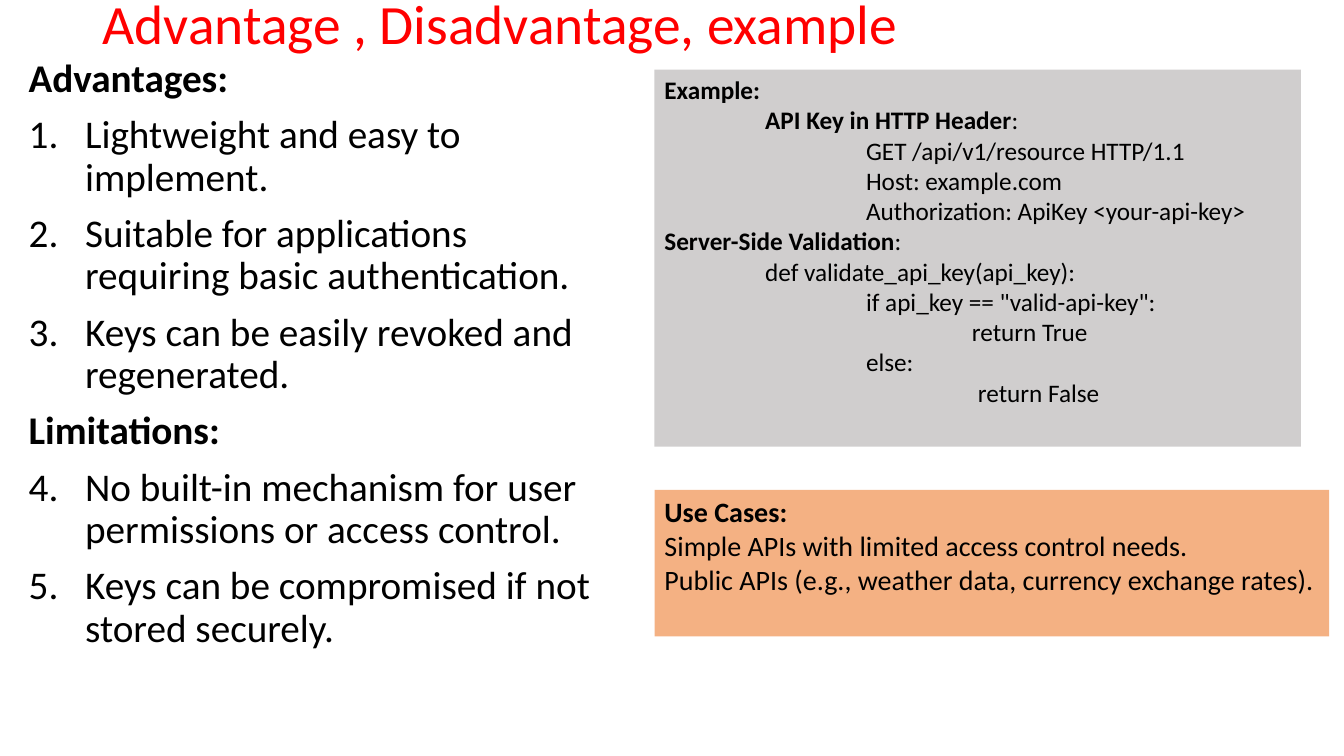
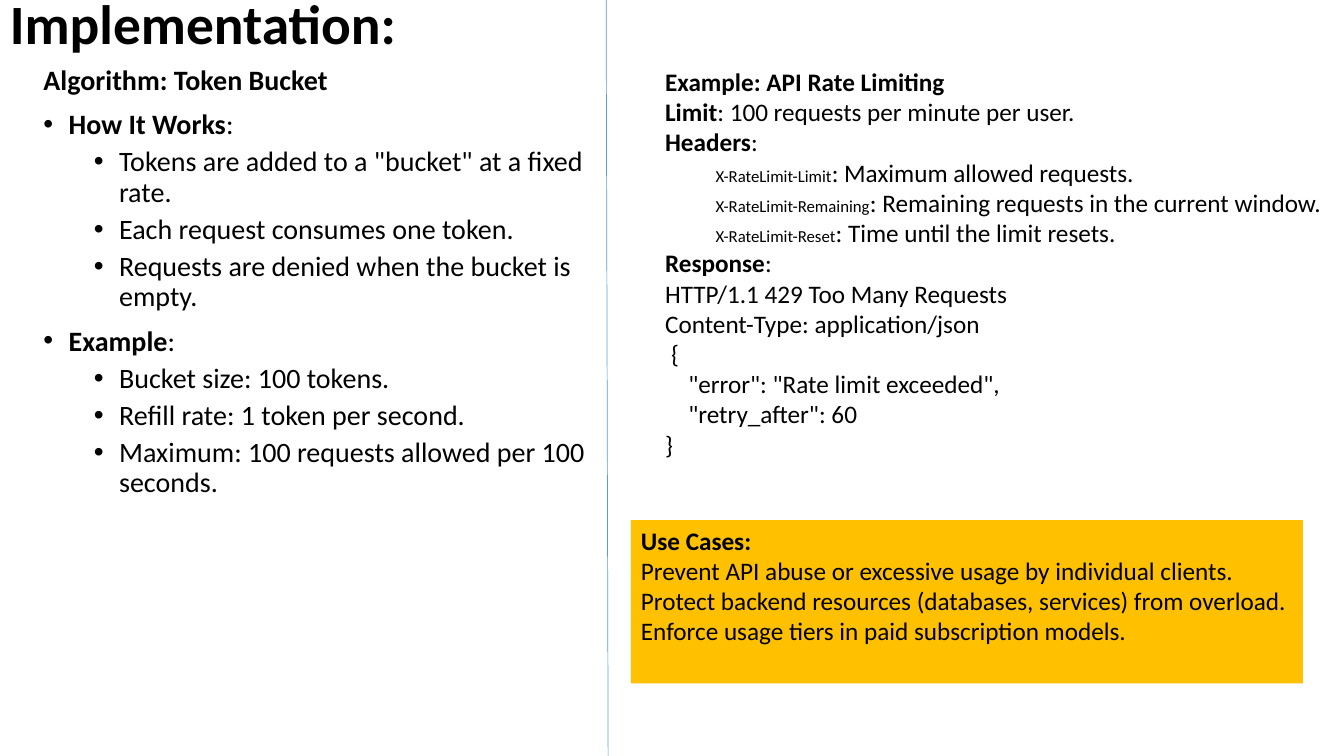
from dataclasses import dataclass

from lxml import etree
from pptx import Presentation, util as u
from pptx.dml.color import RGBColor
from pptx.enum import shapes, text
from pptx.oxml import ns


@dataclass(frozen=True)
class Theme:
    font: str = "Calibri"
    ink: str = "000000"
    red: str = "FF0000"
    grey: str = "D0CECE"
    orange: str = "F4B183"
    gold: str = "FFC000"
    blue: str = "5B9BD5"
    title: float = 39.6
    large: int = 28
    medium: int = 20
    normal: int = 18
    small: int = 12


T = Theme()
prs = Presentation()
prs.slide_width, prs.slide_height = u.Inches(13.33), u.Inches(7.5)
COL, ROW = prs.slide_width / 100, prs.slide_height / 100
BLANK = prs.slide_layouts[6]
TITLE_ROWS = 7.1


def add_box(s, at, fill=None):
    """Add a text area at (left, top, width, height) in percent of the slide."""
    x, y, w, h = at
    sp = s.shapes.add_shape(shapes.MSO_SHAPE.RECTANGLE, int(x * COL), int(y * ROW), int(w * COL), int(h * ROW))
    sp.shadow.inherit = False
    sp.line.fill.background()
    if fill:
        sp.fill.solid()
        sp.fill.fore_color.rgb = RGBColor.from_string(fill)
    else:
        sp.fill.background()
    tf = sp.text_frame
    tf.word_wrap = True
    tf.vertical_anchor = text.MSO_ANCHOR.TOP
    return tf


def add_par(tf, runs, size, color=T.ink, left=0, hang=0, bullet=None, before=0, spacing=1.0):
    """Fill the next paragraph; runs are (text, bold) or (text, bold, size), bullet is a sign or a number."""
    p = tf.paragraphs[-1]
    if p.runs:
        p = tf.add_paragraph()
    p.alignment = text.PP_ALIGN.LEFT
    p.line_spacing, p.space_before = spacing, u.Pt(before)
    pPr = p._p.get_or_add_pPr()
    pPr.set("marL", str(u.Inches(left)))
    pPr.set("indent", str(u.Inches(-hang)))
    if isinstance(bullet, int):
        etree.SubElement(pPr, ns.qn("a:buAutoNum"), type="arabicPeriod", startAt=str(bullet))
    elif bullet:
        etree.SubElement(pPr, ns.qn("a:buFont"), typeface="Arial")
        etree.SubElement(pPr, ns.qn("a:buChar"), char=bullet)
    for words, bold, *own_size in runs:
        r = p.add_run()
        r.text = words
        r.font.name, r.font.bold = T.font, bold
        r.font.size = u.Pt(own_size[0] if own_size else size)
        r.font.color.rgb = RGBColor.from_string(color)


# Titles and use cases: both slides share their form
pages = [
    ("Advantage , Disadvantage, example", False, T.red, 6.9,
     (48.7, 64.8, 50.2, 19.4), T.orange, T.medium,
     ["Simple APIs with limited access control needs.",
      "Public APIs (e.g., weather data, currency exchange rates)."]),
    ("Implementation:", True, T.ink, 0,
     (46.95, 68.8, 50, 21.6), T.gold, T.normal,
     ["Prevent API abuse or excessive usage by individual clients.",
      "Protect backend resources (databases, services) from overload.",
      "Enforce usage tiers in paid subscription models."]),
]
slides = []
for title, bold, color, left, at, fill, size, cases in pages:
    s = prs.slides.add_slide(BLANK)
    tf = add_box(s, (left, 0, 86.2, TITLE_ROWS))
    tf.vertical_anchor = text.MSO_ANCHOR.MIDDLE
    add_par(tf, [(title, bold)], T.title, color, spacing=0.9)
    tf = add_box(s, at, fill)
    add_par(tf, [("Use Cases:", True)], size)
    for case in cases:
        add_par(tf, [(case, False)], size)
    slides.append(s)
keys_slide, bucket_slide = slides

# Slide 1: numbered points, counted on across both headings
points = {
    "Advantages:": ["Lightweight and easy to implement.",
                    "Suitable for applications requiring basic authentication.",
                    "Keys can be easily revoked and regenerated."],
    "Limitations:": ["No built-in mechanism for user permissions or access control.",
                     "Keys can be compromised if not stored securely."],
}
tf = add_box(keys_slide, (1.4, TITLE_ROWS, 43.7, 83))
start = 1
for heading, items in points.items():
    add_par(tf, [(heading, True)], T.large, before=10, spacing=0.9)
    for item in items:
        add_par(tf, [(item, False)], T.large, left=0.56, hang=0.56, bullet=start, before=10, spacing=0.9)
    start += len(items)

# Slide 1: code example as (indent, runs)
code = [
    (0, [("Example:", True)]),
    (1, [("API Key in HTTP Header", True), (":", False)]),
    (2, [("GET /api/v1/resource HTTP/1.1", False)]),
    (2, [("Host: example.com", False)]),
    (2, [("Authorization: ApiKey <your-api-key>", False)]),
    (0, [("Server-Side Validation", True), (":", False)]),
    (1, [("def validate_api_key(api_key):", False)]),
    (2, [('if api_key == "valid-api-key":', False)]),
    (3.05, [("return True", False)]),
    (2, [("else:", False)]),
    (3.11, [("return False", False)]),
]
tf = add_box(keys_slide, (48.7, 9.2, 48.1, 49.9), T.grey)
for indent, runs in code:
    add_par(tf, runs, T.normal, left=indent)

# Slide 2: algorithm in two bullet levels
topics = {
    "How It Works": ['Tokens are added to a "bucket" at a fixed rate.',
                     "Each request consumes one token.",
                     "Requests are denied when the bucket is empty."],
    "Example": ["Bucket size: 100 tokens.",
                "Refill rate: 1 token per second.",
                "Maximum: 100 requests allowed per 100 seconds."],
}
tf = add_box(bucket_slide, (2.5, 8.1, 45.2, 82))
add_par(tf, [("Algorithm: Token Bucket", True)], T.medium, before=10, spacing=0.9)
for topic, items in topics.items():
    add_par(tf, [(topic, True), (":", False)], T.medium,
            left=0.25, hang=0.25, bullet="•", before=10, spacing=0.9)
    for item in items:
        add_par(tf, [(item, False)], T.medium, left=0.75, hang=0.25, bullet="•", before=5, spacing=0.9)

# Slide 2: request limits and the response
headers = [("Limit", "Maximum allowed requests."),
           ("Remaining", "Remaining requests in the current window."),
           ("Reset", "Time until the limit resets.")]
response = [(0, "HTTP/1.1 429 Too Many Requests"), (0, "Content-Type: application/json"), (0.06, "{"),
            (0.23, '"error": "Rate limit exceeded",'), (0.23, '"retry_after": 60'), (0, "}")]
limits = [
    (0, [("Example: API Rate Limiting", True)]),
    (0, [("Limit", True), (": 100 requests per minute per user.", False)]),
    (0, [("Headers", True), (":", False)]),
    *[(0.5, [(f"X-RateLimit-{name}", False, T.small), (f": {meaning}", False)]) for name, meaning in headers],
    (0, [("Response", True), (":", False)]),
    *[(indent, [(line, False)]) for indent, line in response],
]
tf = add_box(bucket_slide, (48.75, 8.1, 51.25, 53.9))
for indent, runs in limits:
    add_par(tf, runs, T.normal, left=indent)

divider = bucket_slide.shapes.add_connector(
    shapes.MSO_CONNECTOR.STRAIGHT, int(45.1 * COL), 0, int(45.25 * COL), prs.slide_height)
divider.line.color.rgb = RGBColor.from_string(T.blue)
divider.line.width = u.Pt(0.5)
etree.SubElement(divider._element.spPr, ns.qn("a:effectLst"))

prs.save("out.pptx")
